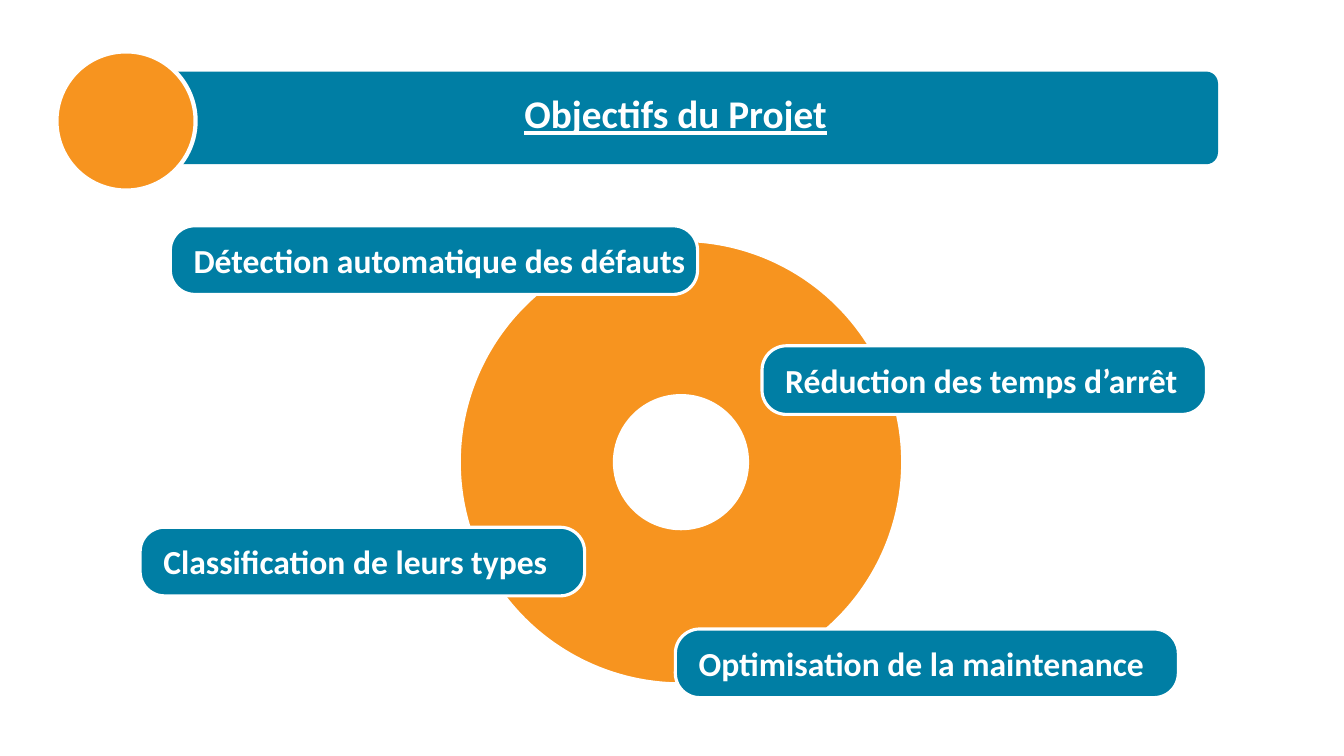
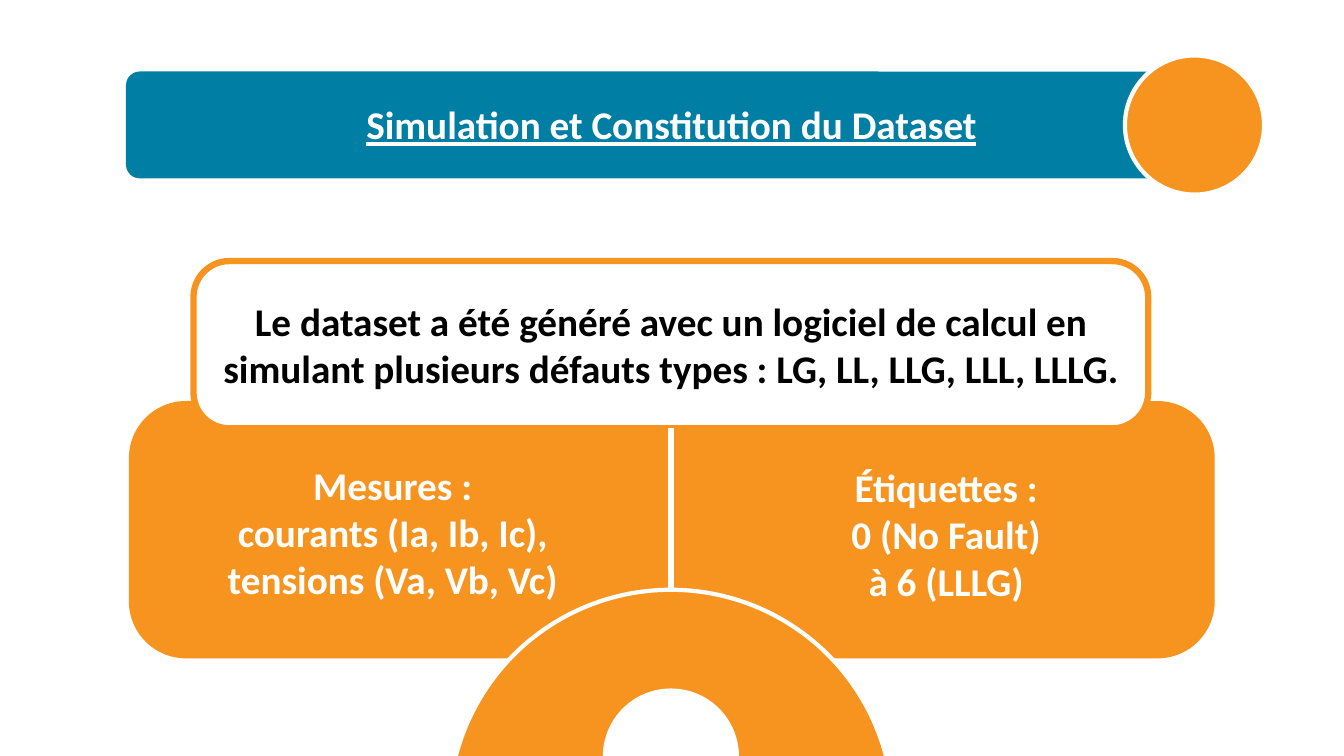
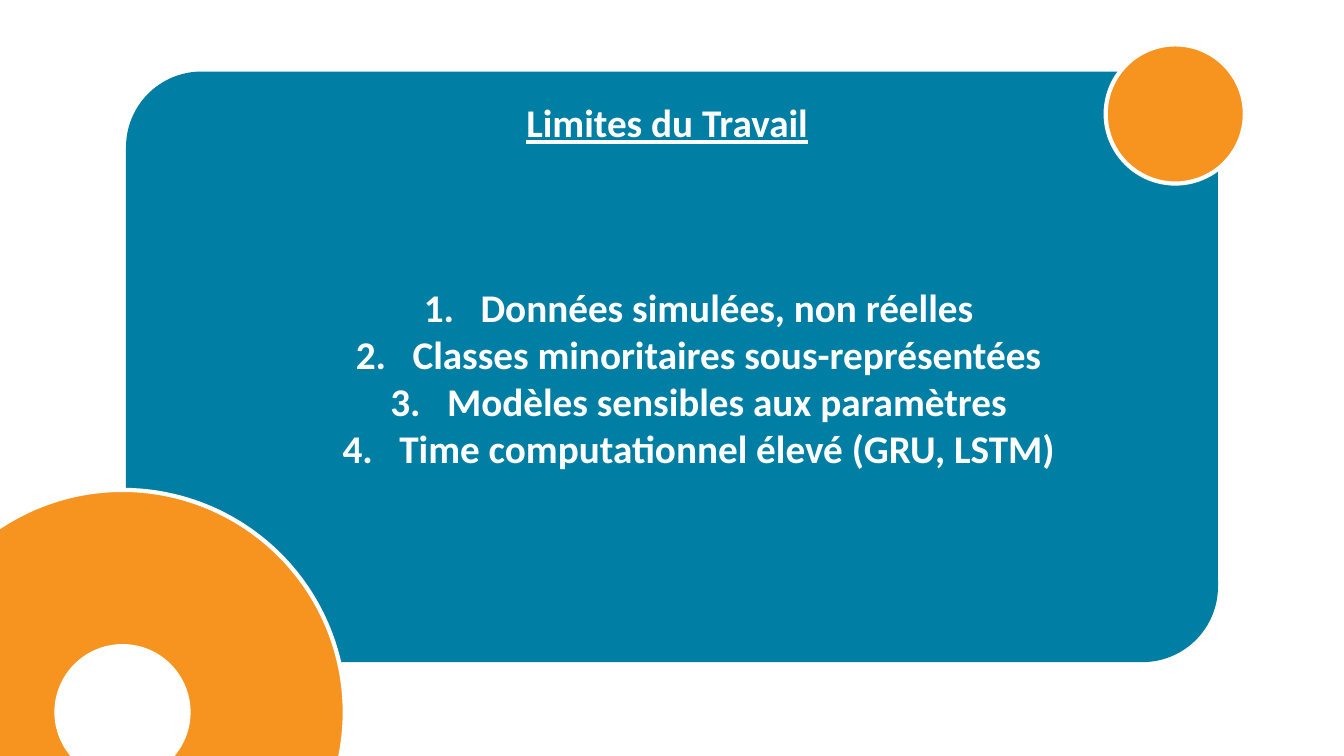
from pptx import Presentation
from pptx.dml.color import RGBColor
from pptx.enum.shapes import MSO_CONNECTOR, MSO_SHAPE
from pptx.enum.text import MSO_ANCHOR, MSO_AUTO_SIZE, PP_ALIGN
from pptx.oxml.ns import qn
from pptx.util import Pt
from lxml.etree import SubElement

BLUE, ORANGE, WHITE, BLACK = "007EA4", "F7941F", "FFFFFF", "000000"
FONT = "Calibri"
RING, HOLE, BADGE = 317.5, 94.3, 99.4
BAND_X, BAND_Y, BAND_W = 90, 51.1, 780


def add_box(s, kind, x, y, w, h, fill, line=None, weight=3, adj=None):
    sp = s.shapes.add_shape(kind, Pt(x), Pt(y), Pt(w), Pt(h))
    sp.shadow.inherit = False
    sp.fill.solid()
    sp.fill.fore_color.rgb = RGBColor.from_string(fill)
    if line:
        sp.line.color.rgb = RGBColor.from_string(line)
        sp.line.width = Pt(weight)
    else:
        sp.line.fill.background()
    if adj:
        sp.adjustments[0] = adj
    return sp


def write(sp, lines, size=28, color=WHITE, align=PP_ALIGN.CENTER, underline=None, numbered=False):
    tf = sp.text_frame
    tf.word_wrap = True
    tf.text = "\n".join(lines)
    for p in tf.paragraphs:
        p.alignment = align
        if numbered:
            pPr = p._p.get_or_add_pPr()
            pPr.set("marL", str(Pt(40.5)))
            pPr.set("indent", str(Pt(-40.5)))
            SubElement(pPr, qn("a:buFont")).set("typeface", "+mj-lt")
            SubElement(pPr, qn("a:buAutoNum")).set("type", "arabicPeriod")
        for r in p.runs:
            r.font.name = FONT
            r.font.size = Pt(size)
            r.font.bold = True
            r.font.underline = underline
            r.font.color.rgb = RGBColor.from_string(color)


prs = Presentation()
prs.slide_width, prs.slide_height = Pt(960), Pt(540)

pages = [
    dict(title="Objectifs du Projet", title_at=(342, 60.5, 281), band_h=66.2,
         ring=(486.4, 330.1), hole_y=330.1, badge=(40.3, 36.7), panels=[], texts=[]),
    dict(title="Simulation et Constitution du Dataset", title_at=(247.7, 68.4, 463.7), band_h=76.3,
         ring=(479.2, 580), hole_y=540.4, badge=(803.5, 39.6),
         panels=[(94.3, 288.7, 771.1, 179.3, ORANGE), (138.2, 186.5, 682, 119.5, WHITE)],
         texts=[((151.2, 326.2, 258.5, 108.7),
                 ["Mesures :", "courants (Ia, Ib, Ic), tensions (Va, Vb, Vc)"], False),
                ((531.4, 327.6, 288.7, 108.7),
                 ["Étiquettes :", "0 (No Fault)", "à 6 (LLLG)"], False)]),
    dict(title="Limites du Travail", title_at=(365.5, 67, 222), band_h=421.9,
         ring=(87.5, 508.7), hole_y=508.7, badge=(789.8, 31.7), panels=[],
         texts=[((208.8, 198.7, 580.3, 143.3),
                 ["Données simulées, non réelles", "Classes minoritaires sous-représentées",
                  "Modèles sensibles aux paramètres", "Time computationnel élevé (GRU, LSTM)"], True)]),
]

for page in pages:
    s = prs.slides.add_slide(prs.slide_layouts[6])
    add_box(s, MSO_SHAPE.ROUNDED_RECTANGLE, BAND_X, BAND_Y, BAND_W, page["band_h"], BLUE, adj=0.128)
    panels = [add_box(s, MSO_SHAPE.ROUNDED_RECTANGLE, x, y, w, h, fill, ORANGE, 4.5, 0.215)
              for x, y, w, h, fill in page["panels"]]
    cx, cy = page["ring"]
    ring = add_box(s, MSO_SHAPE.OVAL, cx - RING / 2, cy - RING / 2, RING, RING, ORANGE, WHITE)
    add_box(s, MSO_SHAPE.OVAL, cx - HOLE / 2, page["hole_y"] - HOLE / 2, HOLE, HOLE, WHITE, WHITE)
    add_box(s, MSO_SHAPE.OVAL, *page["badge"], BADGE, BADGE, ORANGE, WHITE)

    x, y, w = page["title_at"]
    title = s.shapes.add_textbox(Pt(x), Pt(y), Pt(w), Pt(41))
    write(title, [page["title"]], underline=True)
    title.text_frame.auto_size = MSO_AUTO_SIZE.SHAPE_TO_FIT_TEXT

    for box, lines, numbered in page["texts"]:
        tb = s.shapes.add_textbox(*[Pt(v) for v in box])
        write(tb, lines, numbered=numbered)
        tb.text_frame.auto_size = MSO_AUTO_SIZE.SHAPE_TO_FIT_TEXT

    if panels:
        statement = panels[-1]
        write(statement, ["Le dataset a été généré avec un logiciel de calcul en simulant "
                          "plusieurs défauts types : LG, LL, LLG, LLL, LLLG."], color=BLACK)
        divider = s.shapes.add_connector(MSO_CONNECTOR.STRAIGHT, Pt(cx), Pt(306), Pt(cx), Pt(421.2))
        divider.begin_connect(statement, 2)
        divider.end_connect(ring, 0)
        divider.line.color.rgb = RGBColor.from_string(WHITE)
        divider.line.width = Pt(4.5)
        SubElement(divider._element.spPr, qn("a:effectLst"))

goals = [
    ("Détection automatique des défauts", 121.7, 161.3, 376.6),
    ("Réduction des temps d’arrêt", 544.3, 247, 317.5),
    ("Classification de leurs types", 100.1, 376.6, 317.5),
    ("Optimisation de la maintenance", 482.4, 449.3, 359.3),
]
for text, x, y, w in goals:
    sp = add_box(prs.slides[0], MSO_SHAPE.ROUNDED_RECTANGLE, x, y, w, 49, BLUE, WHITE, 2.25, 0.355)
    write(sp, [text], size=24, align=PP_ALIGN.LEFT)
    tf = sp.text_frame
    tf.vertical_anchor = MSO_ANCHOR.MIDDLE
    tf.margin_left = Pt(11.5)
    tf.margin_right = tf.margin_top = tf.margin_bottom = Pt(0)

prs.save("out.pptx")
